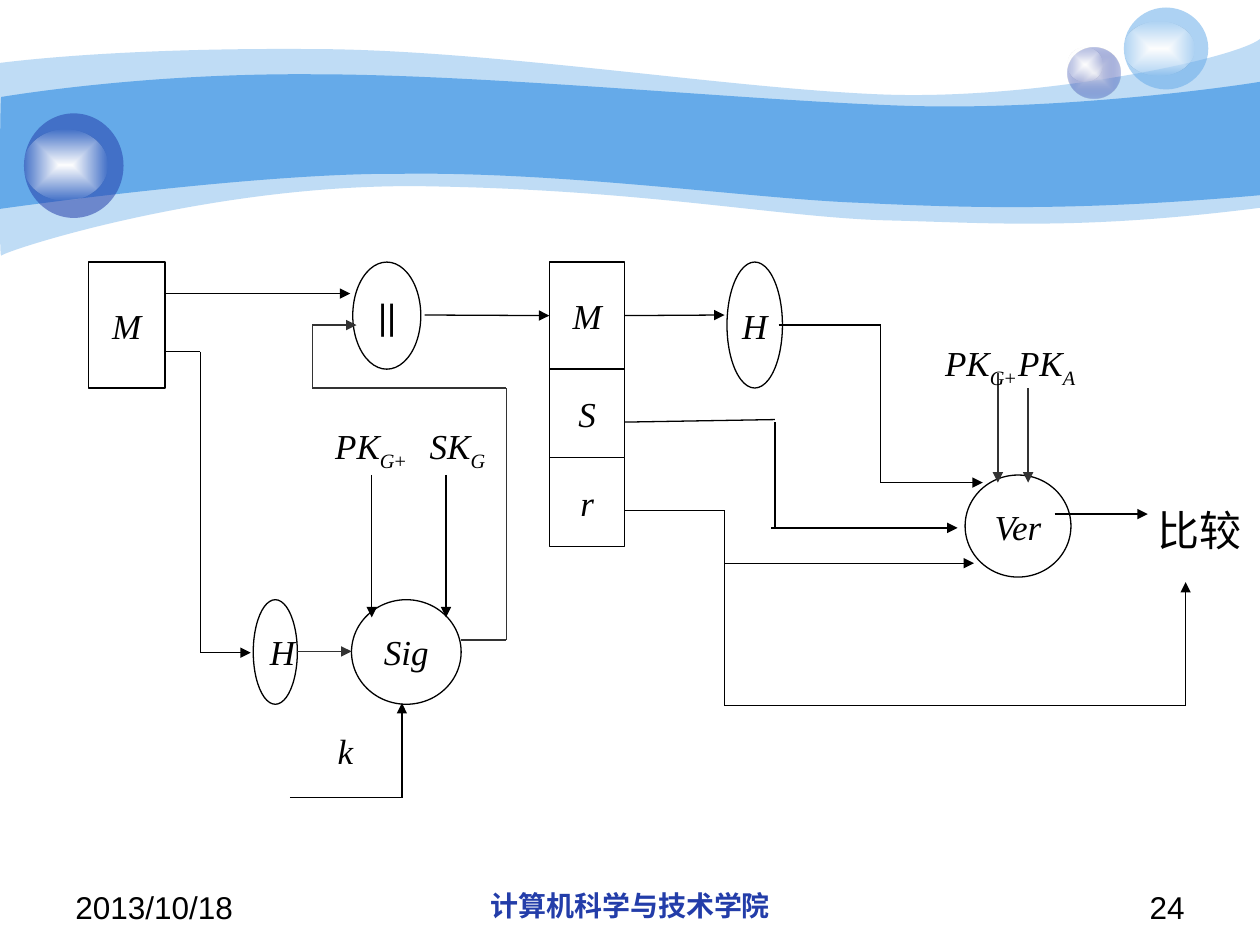
from dataclasses import dataclass
from itertools import pairwise

from lxml.etree import SubElement
from pptx import Presentation
from pptx.dml.color import RGBColor
from pptx.enum.shapes import MSO_CONNECTOR, MSO_SHAPE
from pptx.enum.text import MSO_ANCHOR, MSO_AUTO_SIZE, PP_ALIGN
from pptx.oxml import parse_xml
from pptx.oxml.ns import nsdecls, qn
from pptx.util import Inches, Pt


@dataclass(frozen=True)
class Theme:
    """Colours, fonts and sizes of the slide."""
    sky: str = "65AAE9"
    navy: str = "233DA9"
    mist: str = "E1E2ED"
    white: str = "FFFFFF"
    ink: str = "000000"
    grey: str = "333333"
    sans: str = "Arial"
    serif: str = "Times New Roman"
    symbol: int = 20
    result: int = 24
    footer: int = 18
    school: int = 16
    line: float = 0.75


@dataclass(frozen=True)
class Box:
    """A region in inches that holds parts by local offsets."""
    x: float
    y: float
    w: float
    h: float

    def sub(self, x, y, w, h):
        """Return a box at a local offset."""
        return Box(self.x + x, self.y + y, w, h)

    def point(self, x, y):
        """Return a local point as slide lengths."""
        return Inches(self.x + x), Inches(self.y + y)

    def frame(self):
        """Return left, top, width and height as lengths."""
        return [Inches(v) for v in (self.x, self.y, self.w, self.h)]


T = Theme()
SYMBOL = {"name": T.serif, "size": Pt(T.symbol), "italic": True}
PK_G = [("PK", {}, 0), ("G", {}, -25), ("+", {"italic": False}, -25)]
SK_G = [("SK", {}, 0), ("G", {}, -25)]
PK_A = [("PK", {}, 0), ("A", {}, -25)]


def write(sp, runs, font, align, color=T.ink, insets=(0.08, 0.04), wrap=True):
    """Fill a shape with runs of (text, font changes, baseline)."""
    tf = sp.text_frame
    frame = {"word_wrap": wrap, "auto_size": MSO_AUTO_SIZE.NONE,
             "margin_left": Inches(insets[0]), "margin_right": Inches(insets[0]),
             "margin_top": Inches(insets[1]), "margin_bottom": Inches(insets[1])}
    for key, value in frame.items():
        setattr(tf, key, value)
    p = tf.paragraphs[0]
    p.alignment = align
    for text, changes, baseline in runs:
        r = p.add_run()
        r.text = text
        for key, value in {**font, **changes}.items():
            setattr(r.font, key, value)
        r.font.color.rgb = RGBColor.from_string(color)
        if baseline:
            r._r.get_or_add_rPr().set("baseline", str(baseline * 1000))


def label(s, box, runs, font=SYMBOL, align=PP_ALIGN.JUSTIFY, **options):
    """Add a text box."""
    write(s.shapes.add_textbox(*box.frame()), runs, font, align, **options)


def paint(sp, color, alpha=100):
    """Give a shape a flat fill with no line or shadow."""
    sp.shadow.inherit = False
    sp.line.fill.background()
    sp.fill.solid()
    sp.fill.fore_color.rgb = RGBColor.from_string(color)
    if alpha < 100:
        clr = sp._element.spPr.find(qn("a:solidFill"))[0]
        SubElement(clr, qn("a:alpha")).set("val", str(alpha * 1000))


def glow(sp, inner, outer, alpha):
    """Replace a flat fill with a gradient that spreads from the centre."""
    old = sp._element.spPr.find(qn("a:solidFill"))
    old.getparent().replace(old, parse_xml(
        f'<a:gradFill {nsdecls("a")} rotWithShape="1"><a:gsLst>'
        f'<a:gs pos="0"><a:srgbClr val="{inner}"/></a:gs><a:gs pos="100000">'
        f'<a:srgbClr val="{outer}"><a:alpha val="{alpha * 1000}"/></a:srgbClr></a:gs></a:gsLst>'
        '<a:path path="shape"><a:fillToRect l="50000" t="50000" r="50000" b="50000"/></a:path>'
        '</a:gradFill>'))


def node(s, box, text, kind=MSO_SHAPE.OVAL, font=SYMBOL, wrap=True):
    """Add an outlined diagram node with centred text."""
    sp = s.shapes.add_shape(kind, *box.frame())
    paint(sp, T.white)
    sp.line.color.rgb = RGBColor.from_string(T.ink)
    sp.line.width = Pt(T.line)
    write(sp, [(text, {}, 0)], font, PP_ALIGN.CENTER, wrap=wrap)
    sp.text_frame.vertical_anchor = MSO_ANCHOR.MIDDLE
    return sp


def route(s, box, points, arrow=True, color=T.ink):
    """Join points with straight connectors and return the last one."""
    for a, b in pairwise(points):
        c = s.shapes.add_connector(MSO_CONNECTOR.STRAIGHT, *box.point(*a), *box.point(*b))
        c.line.color.rgb = RGBColor.from_string(color)
        c.line.width = Pt(T.line)
        SubElement(c._element.spPr, qn("a:effectLst"))
    if arrow:
        SubElement(c.line._get_or_add_ln(), qn("a:tailEnd")).set("type", "triangle")
    return c


def wave(s, box, top, bottom, alpha=100):
    """Add a band between two chains of cubic curves."""
    first, *rest = [box.point(*pt) for pt in top + bottom]
    fb = s.shapes.build_freeform(*first)
    fb.add_line_segments(rest)
    sp = fb.convert_to_shape()
    paint(sp, T.sky, alpha)
    lines = list(sp._element.iter(qn("a:lnTo")))
    del lines[len(top) - 1]
    for i in range(0, len(lines), 3):
        bend = parse_xml(f'<a:cubicBezTo {nsdecls("a")}/>')
        lines[i].addprevious(bend)
        for line in lines[i:i + 3]:
            bend.append(line[0])
            line.getparent().remove(line)


def bubble(s, box, shine, color, alpha, inner=None):
    """Add a translucent ball with a highlight."""
    ball = s.shapes.add_shape(MSO_SHAPE.OVAL, *box.frame())
    paint(ball, color, alpha)
    if inner:
        glow(ball, inner, color, alpha)
    sp = s.shapes.add_shape(MSO_SHAPE.OVAL, *box.sub(*shine).frame())
    paint(sp, T.white)
    glow(sp, T.white, T.white, 0)


def banner(s, box):
    """Draw the waves and bubbles at the top."""
    wave(s, box, [(0, 0.5), (0.24, 0.47), (1.07, 0.38), (2.47, 0.39), (3.86, 0.39), (5.75, 0.7),
                  (6.99, 0.75), (8.22, 0.8), (9.8, 0.47), (10, 0.31)],
         [(10, 1.65), (8.58, 1.83), (7.87, 1.77), (7.05, 1.75), (6.22, 1.73), (5.15, 1.51),
          (3.43, 1.48), (1.72, 1.44), (0.04, 1.99), (0.01, 2.03), (-0.01, 2.08), (0, 0.75), (0, 0.5)], 41)
    wave(s, box, [(0.01, 0.77), (0.02, 0.77), (1.1, 0.58), (2.48, 0.59), (3.86, 0.59), (5.95, 0.8),
                  (7.18, 0.84), (8.41, 0.88), (9.76, 0.69), (10, 0.65)],
         [(10, 1.55), (8.53, 1.68), (7.65, 1.65), (6.82, 1.61), (5.99, 1.58), (4.47, 1.36), (3.17, 1.38),
          (2.03, 1.37), (-0.02, 1.66), (-0.01, 1.66), (0, 1.66), (0, 0.77), (0.01, 0.77)])
    bubble(s, box.sub(8.47, 0.38, 0.42, 0.4), (0, 0, 0.28, 0.27), T.navy, 31, T.mist)
    bubble(s, box.sub(8.92, 0.06, 0.67, 0.65), (0, 0.11, 0.56, 0.43), T.sky, 53)
    bubble(s, box.sub(0.19, 0.9, 0.79, 0.83), (0, 0.13, 0.66, 0.56), T.navy, 53)


def signing(s, box):
    """Draw the signing side and return its outgoing connector."""
    node(s, box.sub(0, 0, 0.61, 1), "M", MSO_SHAPE.RECTANGLE)
    node(s, box.sub(2.1, 0, 0.54, 0.85), "||", font={**SYMBOL, "name": T.sans})
    node(s, box.sub(1.31, 2.68, 0.35, 0.83), "H")
    node(s, box.sub(2.09, 2.68, 0.87, 0.83), "Sig")
    for points in ([(0.6, 0.25), (2.08, 0.25)],
                   [(0.6, 0.71), (0.89, 0.71), (0.89, 3.1), (1.29, 3.1)],
                   [(1.6, 4.25), (2.49, 4.25), (2.49, 3.5)],
                   [(2.25, 1.69), (2.25, 2.82)], [(2.84, 1.69), (2.84, 2.82)]):
        route(s, box, points)
    for points in ([(1.66, 3.09), (2.09, 3.09)],
                   [(2.96, 3), (3.32, 3), (3.32, 1), (1.78, 1), (1.78, 0.5), (2.13, 0.5)]):
        route(s, box, points, color=T.grey)
    label(s, box.sub(1.88, 1.25, 0.75, 0.62), PK_G)
    label(s, box.sub(2.63, 1.25, 0.65, 0.76), SK_G)
    label(s, box.sub(1.9, 3.67, 0.36, 0.58), [("k", {}, 0)])
    return route(s, box, [(2.67, 0.42), (3.66, 0.42)])


def packet(s, box):
    """Stack the message fields and return the top one."""
    return [node(s, box.sub(0, y, box.w, h), text, MSO_SHAPE.RECTANGLE)
            for text, y, h in (("M", 0, 0.85), ("S", 0.85, 0.7), ("r", 1.55, 0.71))][0]


def verifying(s, box):
    """Draw the verifying side and return its incoming connector."""
    node(s, box.sub(0.81, 0, 0.44, 1), "H", wrap=False)
    node(s, box.sub(2.7, 1.69, 0.84, 0.81), "Ver")
    for points in ([(0, 1.27), (1.19, 1.25)], [(1.19, 1.27), (1.19, 2.11)]):
        route(s, box, points, arrow=False)
    for points in ([(1.16, 2.11), (2.64, 2.11)],
                   [(1.22, 0.5), (2.03, 0.5), (2.03, 1.75), (2.84, 1.75)],
                   [(0, 1.97), (0.79, 1.97), (0.79, 3.52), (4.45, 3.52), (4.45, 2.54)],
                   [(0.79, 2.39), (2.77, 2.39)], [(3.41, 2), (4.15, 2)]):
        route(s, box, points)
    for x, y in ((2.96, 0.88), (3.2, 1)):
        route(s, box, [(x, y), (x, 1.75)], color=T.grey)
    label(s, box.sub(3.04, 0.59, 0.65, 0.88), PK_A)
    label(s, box.sub(2.46, 0.59, 0.75, 0.75), PK_G)
    label(s, box.sub(4.15, 1.88, 0.89, 0.62), [("比较", {}, 0)], {"name": T.sans, "size": Pt(T.result)})
    return route(s, box, [(0, 0.42), (0.79, 0.42)])


def footer(s, box):
    """Write the date, school and slide number."""
    plain = {"name": T.sans, "size": Pt(T.footer)}
    bold = {"name": T.sans, "size": Pt(T.school), "bold": True}
    for text, x, w, font, align, color in (
            ("2013/10/18", 0, 2.33, plain, PP_ALIGN.LEFT, T.ink),
            ("计算机科学与技术学院", 2.92, 3.17, bold, PP_ALIGN.CENTER, T.navy),
            ("24", box.w - 2.33, 2.33, plain, PP_ALIGN.RIGHT, T.ink)):
        label(s, box.sub(x, 0, w, box.h), [(text, {}, 0)], font, align, color=color, insets=(0.1, 0.05))


def main():
    """Build and save the slide."""
    prs = Presentation()
    prs.slide_width, prs.slide_height = Inches(10), Inches(7.5)
    s = prs.slides.add_slide(prs.slide_layouts[6])
    banner(s, Box(0, 0, 10, 2.08))
    footer(s, Box(0.5, 7, 9, 0.35))
    message = packet(s, Box(4.36, 2.08, 0.6, 2.26))
    signing(s, Box(0.7, 2.08, 3.66, 4.25)).end_connect(message, 1)
    verifying(s, Box(4.96, 2.08, 5.04, 3.52)).begin_connect(message, 3)
    prs.save("out.pptx")


if __name__ == "__main__":
    main()
